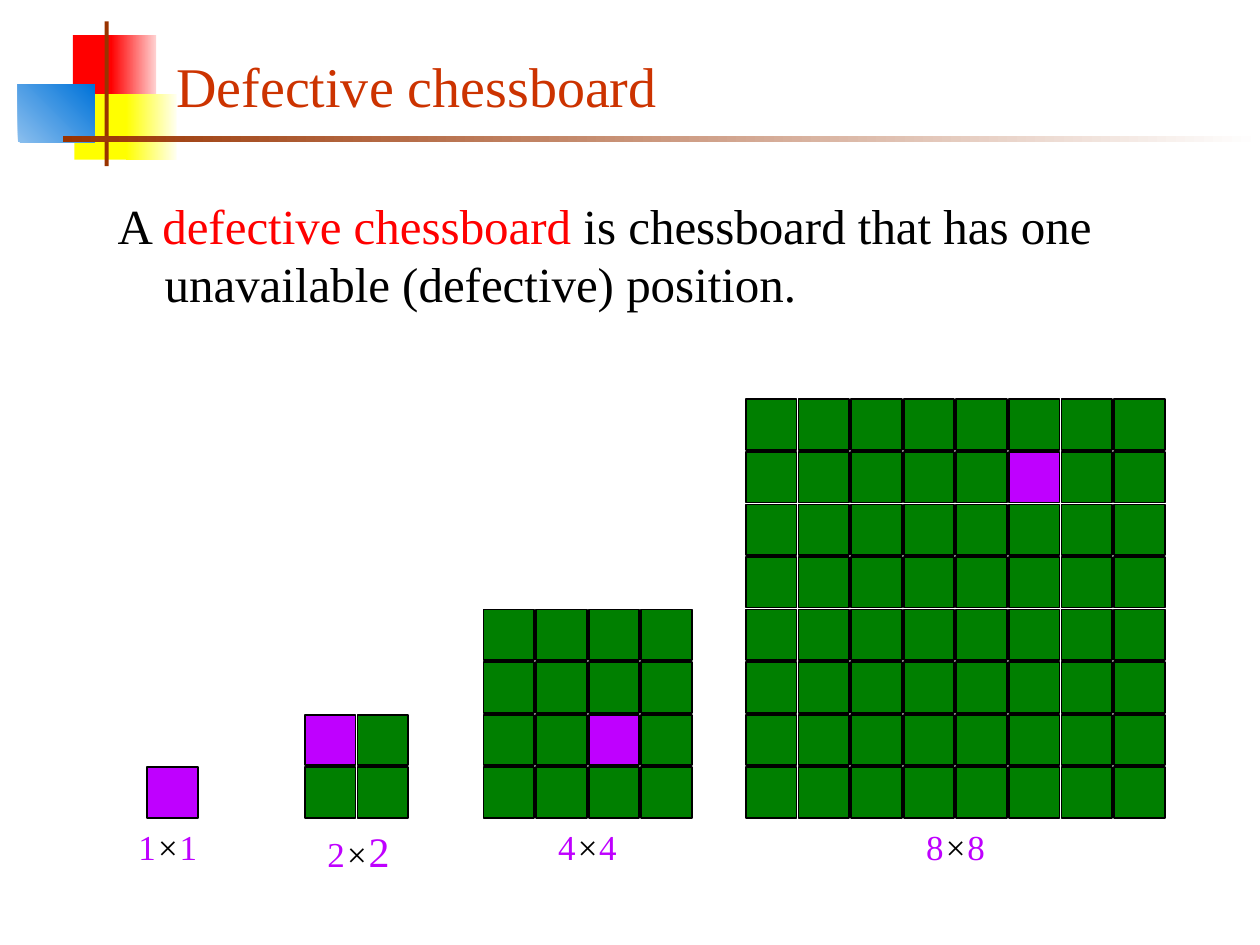
from pptx import Presentation
from pptx.dml.color import RGBColor
from pptx.enum.shapes import MSO_SHAPE
from pptx.enum.text import MSO_AUTO_SIZE, PP_ALIGN
from pptx.util import Cm, Pt

RECT = MSO_SHAPE.RECTANGLE
GROW = MSO_AUTO_SIZE.SHAPE_TO_FIT_TEXT
CENTER = PP_ALIGN.CENTER

FONT = "Times New Roman"
BLACK = RGBColor(0x00, 0x00, 0x00)
RED = RGBColor(0xFF, 0x00, 0x00)
PINK = RGBColor(0xFF, 0xD1, 0xD1)
YELLOW = RGBColor(0xFF, 0xFF, 0x00)
CREAM = RGBColor(0xFF, 0xFF, 0xF0)
SKY = RGBColor(0x8B, 0xBF, 0xEE)
BLUE = RGBColor(0x00, 0x73, 0xD9)
BROWN = RGBColor(0x99, 0x33, 0x00)
WHITE = RGBColor(0xFF, 0xFF, 0xFF)
RUST = RGBColor(0xCC, 0x33, 0x00)
GREEN = RGBColor(0x00, 0x7F, 0x00)
PURPLE = RGBColor(0xBF, 0x00, 0xFF)


def add_rect(shapes, box, color, end=None, angle=0):
    """Add a rectangle without outline; with end, fade from color to end."""
    rect = shapes.add_shape(RECT, *[Cm(v) for v in box])
    rect.shadow.inherit = False
    rect.line.fill.background()
    if end is None:
        rect.fill.solid()
        rect.fill.fore_color.rgb = color
    else:
        rect.fill.gradient()
        rect.fill.gradient_angle = angle
        for stop, tone in zip(rect.fill.gradient_stops, (color, end)):
            stop.color.rgb = tone
    return rect


def add_text(shapes, box, runs, wrap=True):
    """Add a one-paragraph box; each run is (text, size, color, italic)."""
    frame = shapes.add_textbox(*[Cm(v) for v in box]).text_frame
    frame.word_wrap = wrap
    para = frame.paragraphs[0]
    for text, size, color, italic in runs:
        run = para.add_run()
        run.text = text
        run.font.name = FONT
        run.font.size = Pt(size)
        run.font.color.rgb = color
        run.font.italic = italic
    return frame


prs = Presentation()
prs.slide_width = Cm(25.4)
prs.slide_height = Cm(19.05)
slide = prs.slides.add_slide(prs.slide_layouts[6])
shapes = slide.shapes

# Corner ornament and title rule
add_rect(shapes, (1.47, 0.71, 0.89, 1.32), RED)
add_rect(shapes, (2.24, 0.71, 0.91, 1.32), RED, PINK)
add_rect(shapes, (1.5, 1.9, 1.17, 1.32), YELLOW)
add_rect(shapes, (2.54, 1.9, 1.02, 1.32), YELLOW, CREAM)
add_rect(shapes, (0.36, 1.7, 1.55, 1.17), SKY, BLUE, 45)
add_rect(shapes, (2.11, 0.43, 0.08, 2.92), BROWN)
add_rect(shapes, (1.27, 2.74, 24.13, 0.13), BROWN, WHITE)

# Definition, with a hanging indent
body = add_text(shapes, (2.12, 3.81, 21.59, 3.39), [
    ("A ", 28, BLACK, False),
    ("defective chessboard", 28, RED, False),
    (" is chessboard that has one unavailable (defective) position.",
     28, BLACK, False),
])
para = body.paragraphs[0]
para.space_before = Pt(7)
props = para._p.get_or_add_pPr()
props.set("marL", str(Cm(0.95)))
props.set("indent", str(Cm(-0.95)))

# Boards: count per side, left, defect (column, row from bottom),
# label left, label height, size of the last digit
SIDE, PITCH, BASE = 1.02, 1.06, 15.47
BOARDS = [
    (1, 2.97, (0, 0), 2.54, 1.09, 20),
    (2, 6.15, (0, 1), 6.35, 1.27, 24),
    (4, 9.75, (2, 1), 11, 1.09, 20),
    (8, 15.04, (5, 6), 18.42, 1.09, 20),
]
for count, left, defect, label, height, size in BOARDS:
    board = shapes.add_group_shape().shapes
    for row in range(count):
        for col in range(count):
            color = PURPLE if (col, row) == defect else GREEN
            box = (left + col * PITCH, BASE - row * PITCH, SIDE, SIDE)
            cell = add_rect(board, box, color)
            cell.line.color.rgb = BLACK
            cell.line.width = Pt(1)
    frame = add_text(board, (label, 16.51, 2.12, height), [
        (str(count), 20, PURPLE, False),
        ("×", 20, BLACK, True),
        (str(count), size, PURPLE, False),
    ])
    frame.auto_size = GROW
    frame.paragraphs[0].space_before = Pt(size * 0.625)

title = add_text(shapes, (3.3, 0.91, 10.21, 1.62),
                 [("Defective chessboard", 32, RUST, False)], wrap=False)
title.auto_size = GROW
title.paragraphs[0].alignment = CENTER

prs.save("out.pptx")
